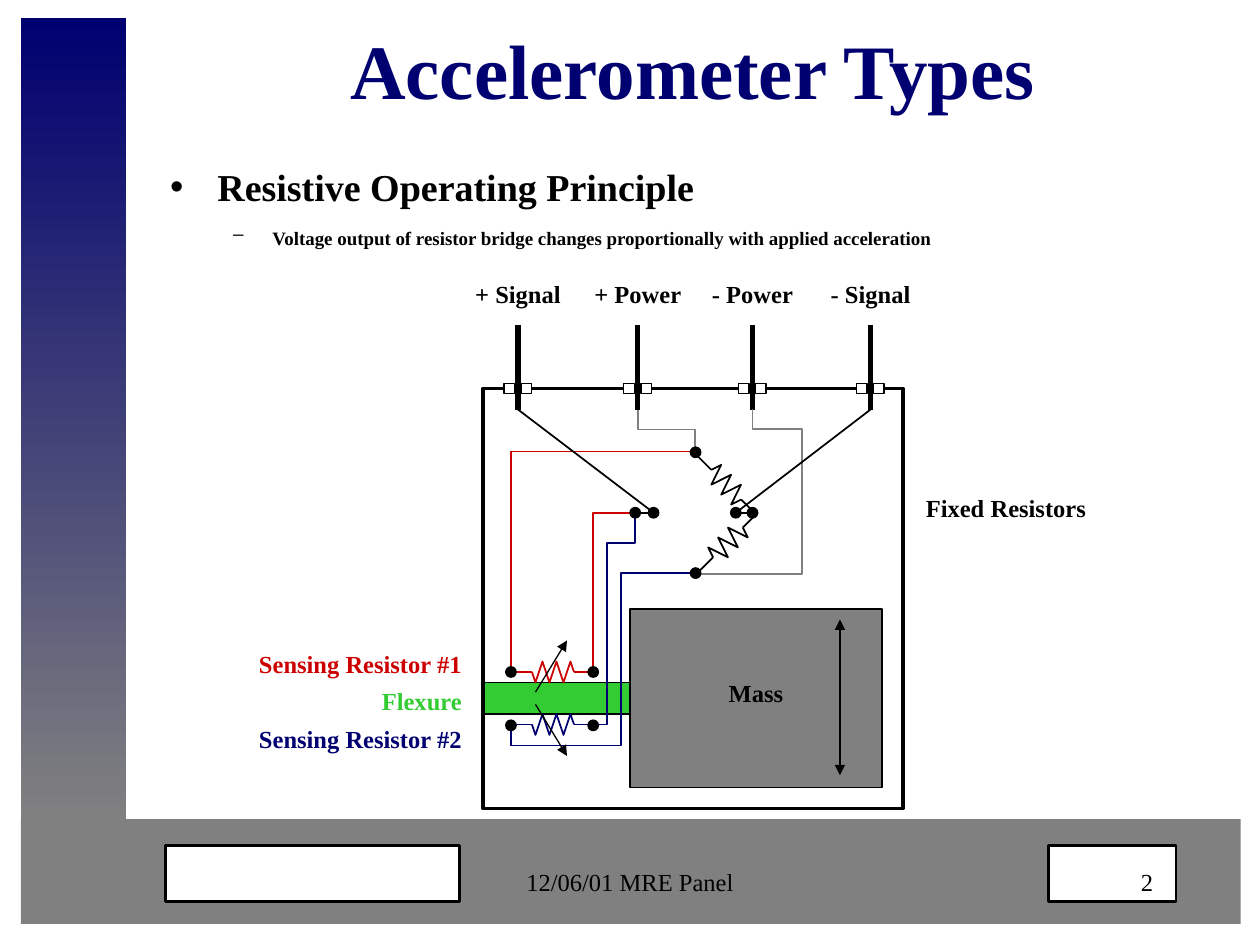
import math

import lxml.etree
import pptx
import pptx.dml.color
import pptx.enum.shapes
import pptx.enum.text
import pptx.oxml.ns
import pptx.util

Pt = pptx.util.Pt
SHAPE = pptx.enum.shapes.MSO_SHAPE
ALIGN = pptx.enum.text.PP_ALIGN
COLORS = {"black": "000000", "white": "FFFFFF", "navy": "000070",
          "gray": "808080", "red": "CC0000", "green": "33CC33"}
FONT = {"name": "Times New Roman", "size": Pt(14), "bold": True}
LABEL = {"space_before": Pt(8.8)}
TIGHT = {**LABEL, "line_spacing": 0.75}


def rgb(color):
    return pptx.dml.color.RGBColor.from_string(COLORS[color])


def assign(target, values):
    for key, value in values.items():
        setattr(target, key, value)


def style_run(run, color, **changes):
    assign(run.font, {**FONT, **changes})
    run.font.color.rgb = rgb(color)


def place(shape, box):
    assign(shape, dict(zip(("left", "top", "width", "height"), map(Pt, box))))


def inside(box, x, y, w, h):
    return box[0] + x, box[1] + y, w, h


def shift(box, points):
    return [(Pt(box[0] + x), Pt(box[1] + y)) for x, y in points]


def draw_outline(shape, color, width):
    shape.line.color.rgb = rgb(color)
    shape.line.width = Pt(width)


def add_block(slide, box, fill=None, width=0.75, kind=SHAPE.RECTANGLE):
    block = slide.shapes.add_shape(kind, *map(Pt, box))
    block.shadow.inherit = False
    if fill:
        block.fill.solid()
        block.fill.fore_color.rgb = rgb(fill)
    else:
        block.fill.background()
    if width:
        draw_outline(block, "black", width)
    else:
        block.line.fill.background()
    return block


def add_line(slide, box, start, end, color="black", width=1, arrows=()):
    (x1, y1), (x2, y2) = shift(box, (start, end))
    line = slide.shapes.add_connector(
        pptx.enum.shapes.MSO_CONNECTOR.STRAIGHT, x1, y1, x2, y2)
    draw_outline(line, color, width)
    for arrow in arrows:
        lxml.etree.SubElement(line.line._get_or_add_ln(),
                              pptx.oxml.ns.qn("a:" + arrow), type="triangle")
    lxml.etree.SubElement(line._element.spPr, pptx.oxml.ns.qn("a:effectLst"))


def add_path(slide, box, points, color):
    start, *rest = shift(box, points)
    builder = slide.shapes.build_freeform(*start, scale=1.0)
    builder.add_line_segments(rest, close=False)
    path = builder.convert_to_shape()
    path.shadow.inherit = False
    path.fill.background()
    draw_outline(path, color, 1)


def add_text(slide, box, rows, align, paragraph_format=LABEL, **font):
    frame = slide.shapes.add_textbox(*map(Pt, box)).text_frame
    frame.word_wrap = True
    for index, (words, color) in enumerate(rows):
        paragraph = frame.add_paragraph() if index else frame.paragraphs[0]
        assign(paragraph, {"alignment": align, **paragraph_format})
        run = paragraph.add_run()
        run.text = words
        style_run(run, color, **font)


def build_frame(slide, box):
    side = add_block(slide, inside(box, 12, 10, 60, 458), "navy", 0)
    side.fill.gradient()
    side.fill.gradient_angle = 270
    for stop, color, position in zip(side.fill.gradient_stops, ("navy", "gray"), (0, 1)):
        stop.color.rgb = rgb(color)
        stop.position = position
    add_block(slide, inside(box, 12, 468, 697, 60), "gray", 0)
    for x, width in ((94.5, 168), (599, 73)):
        add_block(slide, inside(box, x, 483, width, 32), "white", 1.5)


def build_title(slide, box):
    title = slide.shapes.title
    place(title, box)
    title.text_frame.auto_size = pptx.enum.text.MSO_AUTO_SIZE.NONE
    title.text_frame.vertical_anchor = pptx.enum.text.MSO_ANCHOR.MIDDLE
    title.text_frame.text = "Accelerometer Types"
    heading = title.text_frame.paragraphs[0]
    heading.alignment = ALIGN.CENTER
    style_run(heading.runs[0], "navy", size=Pt(44))


def build_body(slide, box):
    body = slide.placeholders[1]
    place(body, box)
    frame = body.text_frame
    frame.auto_size = pptx.enum.text.MSO_AUTO_SIZE.NONE
    levels = (
        ("•", 27, -27, 7, (("Resistive Operating Principle", 21.7),)),
        ("–", 58.5, -22.5, 5,
         (("Voltage output of resistor bridge changes proportionally "
           "with applied acceleration", 10.8), (" ", 15.5))),
    )
    for level, (bullet, margin, indent, before, runs) in enumerate(levels):
        paragraph = frame.add_paragraph() if level else frame.paragraphs[0]
        assign(paragraph, {"level": level, "space_before": Pt(before)})
        for words, size in runs:
            run = paragraph.add_run()
            run.text = words
            style_run(run, "black", size=Pt(size))
        properties = paragraph._p.get_or_add_pPr()
        properties.set("marL", str(Pt(margin)))
        properties.set("indent", str(Pt(indent)))
        lxml.etree.SubElement(properties, pptx.oxml.ns.qn("a:buChar"), char=bullet)


def build_terminal(slide, box, label):
    add_line(slide, box, (0, 30), (0, 78), width=3)
    for x in (-8, 1.75):
        add_block(slide, inside(box, x, 63, 6, 6), "white")
    add_text(slide, inside(box, -42, 0, 84, 24), [(label, "black")], ALIGN.CENTER)


def build_resistor(slide, box, start, end, color, side=1):
    (x1, y1), (x2, y2) = start, end
    length = math.dist(start, end)
    dx, dy = (x2 - x1) / length, (y2 - y1) / length
    lead, amplitude = length / 4, 6 * side

    def point(along, across=0):
        return x1 + dx * along - dy * across, y1 + dy * along + dx * across

    teeth = [point(lead * (1 + step / 6), amplitude * (-1) ** index)
             for index, step in enumerate(range(1, 12, 2))]
    add_path(slide, box, [point(lead), *teeth, point(3 * lead)], color)
    add_line(slide, box, start, point(lead), color)
    add_line(slide, box, point(3 * lead), end, color)


def build_wiring(slide, box):
    build_resistor(slide, box, (64, 192), (16, 192), "navy")
    build_resistor(slide, box, (64, 162), (16, 162), "red")
    build_resistor(slide, box, (156, 72), (122, 38), "black", -1)
    build_resistor(slide, box, (157, 71), (123, 105), "black", -1)
    wires = (
        ("red", ((63, 162), (63, 71), (87, 71))),
        ("navy", ((121.5, 105.5), (79, 105.5), (79, 204), (16, 204), (16, 193))),
        ("navy", ((63, 192), (71, 192), (71, 88.5), (87, 88.5), (87, 71))),
        ("red", ((16, 160), (16, 36), (120, 36))),
        ("gray", ((88.5, 12), (88.5, 23.5), (121, 23.5), (121, 36))),
        ("gray", ((154, 12), (154, 23), (182.5, 23), (182.5, 106), (121.5, 106))),
    )
    for color, points in wires:
        add_path(slide, box, points, color)
    for start, end in (((156, 71), (145, 71)), ((221.5, 12), (144.5, 71)),
                       ((86, 71), (97, 71)), ((20, 12), (97.5, 71))):
        add_line(slide, box, start, end)
    nodes = [(x, y) for x in (16, 63) for y in (162, 192.5)]
    nodes += [(x, 71) for x in (87, 97.5, 144.5, 154)]
    nodes += [(121.5, y) for y in (36.5, 105.5)]
    for x, y in nodes:
        add_block(slide, inside(box, x - 3, y - 3, 6, 6), "black", kind=SHAPE.OVAL)


def build_accelerometer(slide, box):
    add_block(slide, inside(box, 0, 168, 114, 18), "green")
    add_block(slide, box, width=2.25)
    add_block(slide, inside(box, 84, 126, 144, 102), "gray")
    for x, label in ((20, "+ Signal"), (88.5, "+ Power"), (154, "- Power"), (221.5, "- Signal")):
        build_terminal(slide, inside(box, x, -66, 84, 78), label)
    build_wiring(slide, box)
    for start, end in (((30, 173.5), (48, 144)), ((30, 180.5), (48, 210))):
        add_line(slide, box, start, end, width=0.75, arrows=("tailEnd",))
    add_line(slide, box, (204, 132), (204, 221), arrows=("headEnd", "tailEnd"))
    add_text(slide, inside(box, 126, 162, 60, 24), [("Mass", "black")], ALIGN.CENTER)
    add_text(slide, inside(box, -140, 149, 135, 63),
             [("Sensing Resistor #1", "red"), ("Flexure", "green"),
              ("Sensing Resistor #2", "navy")], ALIGN.RIGHT, TIGHT)
    add_text(slide, inside(box, 246, 60, 114, 20),
             [("Fixed Resistors", "black")], ALIGN.LEFT, TIGHT)


def build_footer(slide, box):
    for x, width, words, align in ((0, 228, "12/06/01 MRE Panel", ALIGN.CENTER),
                                   (270, 150, "2", ALIGN.RIGHT)):
        add_text(slide, inside(box, x, 0, width, box[3]), [(words, "black")], align, {}, bold=False)


def main():
    deck = pptx.Presentation()
    assign(deck, {"slide_width": Pt(720), "slide_height": Pt(540)})
    slide = deck.slides.add_slide(deck.slide_layouts[1])
    build_frame(slide, (0, 0, 720, 540))
    build_title(slide, (90, -6, 612, 90))
    build_body(slide, (90, 90, 612, 60))
    build_accelerometer(slide, (276, 222, 240, 240))
    build_footer(slide, (246, 492, 420, 36))
    deck.save("out.pptx")


if __name__ == "__main__":
    main()
